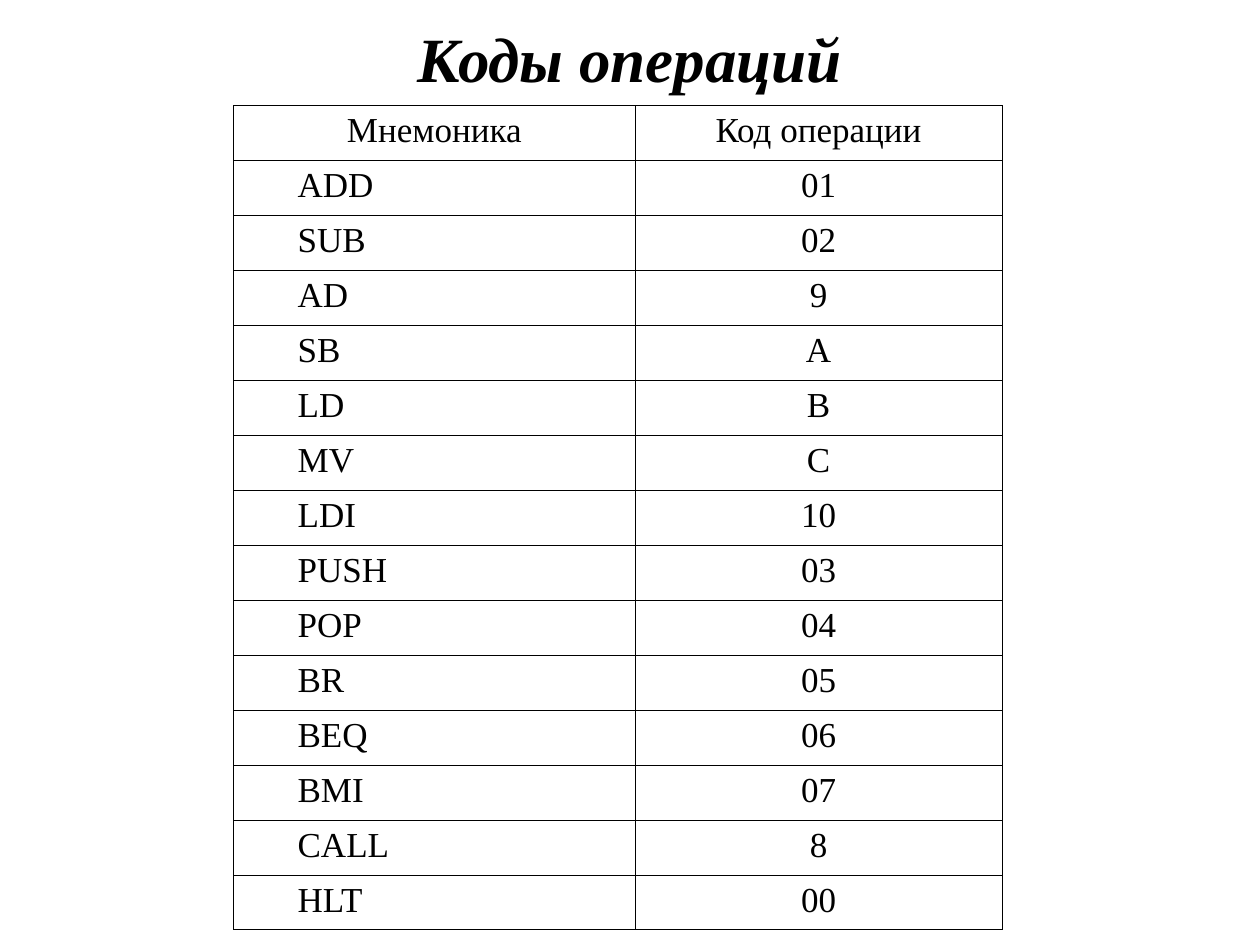
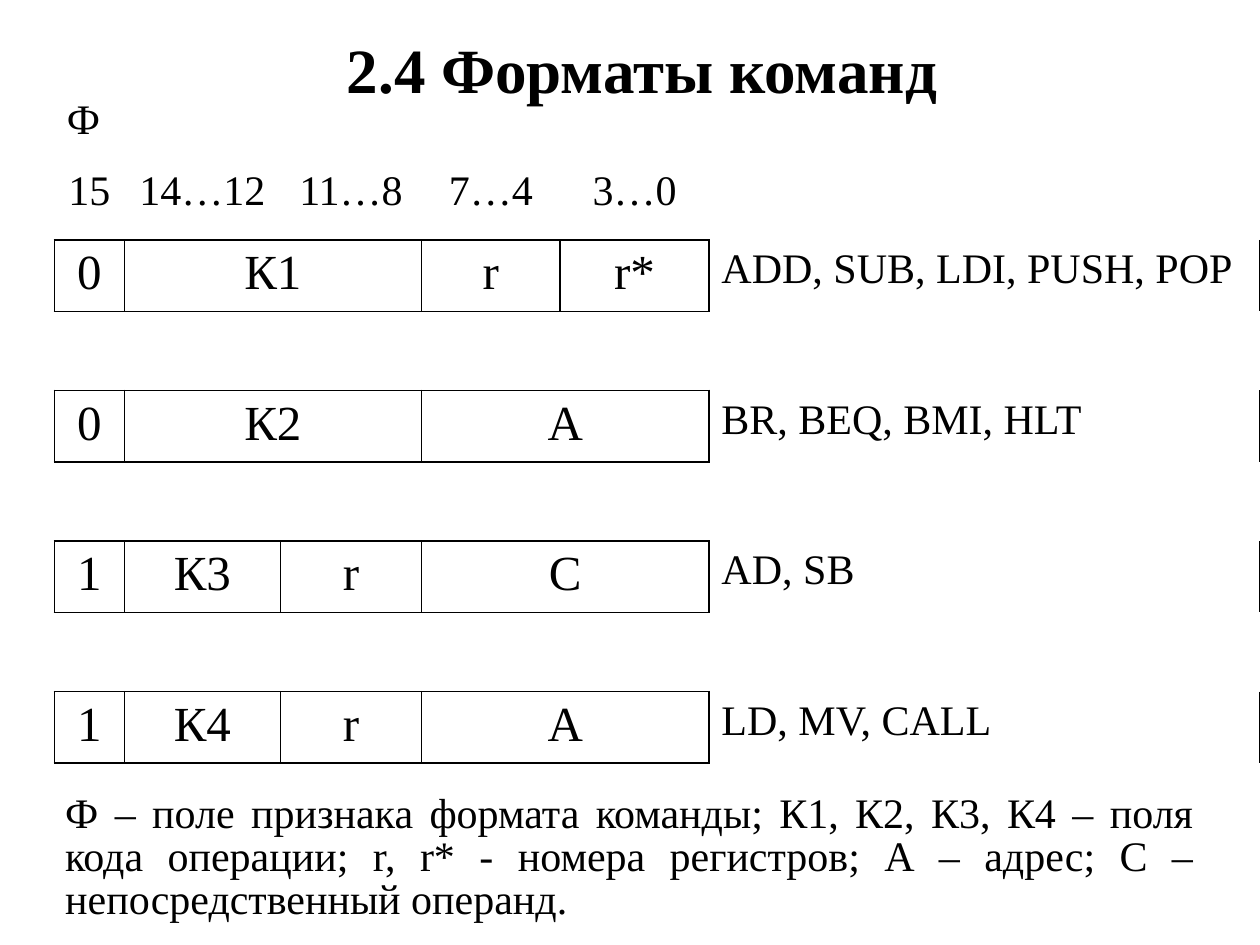
from lxml import etree
from pptx import Presentation
from pptx.dml.color import RGBColor
from pptx.enum.text import MSO_ANCHOR, PP_ALIGN
from pptx.oxml.ns import qn
from pptx.util import Pt

LEFT, CENTER, JUSTIFY = PP_ALIGN.LEFT, PP_ALIGN.CENTER, PP_ALIGN.JUSTIFY
TOP, MIDDLE = MSO_ANCHOR.TOP, MSO_ANCHOR.MIDDLE
FONT = "Times New Roman"
BLACK = "000000"
PLAIN_STYLE = "{2D5ABB26-0587-4C30-8999-92F81FD0307C}"
BLANK = 6

OPCODES = [
    ("ADD", "01"), ("SUB", "02"), ("AD", "9"), ("SB", "A"), ("LD", "B"),
    ("MV", "C"), ("LDI", "10"), ("PUSH", "03"), ("POP", "04"), ("BR", "05"),
    ("BEQ", "06"), ("BMI", "07"), ("CALL", "8"), ("HLT", "00"),
]
# Bit numbers and command fields are (text, columns spanned).
BITS = [("15", 1), ("14…12", 1), ("11…8", 1), ("7…4", 1), ("3…0", 2)]
FORMATS = [
    ([("0", 1), ("К1", 2), ("r", 1), ("r*", 2)], "ADD, SUB, LDI, PUSH, POP"),
    ([("0", 1), ("К2", 2), ("A", 3)], "BR, BEQ, BMI, HLT"),
    ([("1", 1), ("К3", 1), ("r", 1), ("C", 3)], "AD, SB"),
    ([("1", 1), ("К4", 1), ("r", 1), ("A", 3)], "LD, MV, CALL"),
]
LEGEND = ("Ф – поле признака формата команды; К1, К2, К3, К4 – поля кода операции; "
          "r, r* - номера регистров; А – адрес; С – непосредственный операнд.")


def color(value):
    return RGBColor.from_string(value)


def write(tf, text, size, align=LEFT, bold=False, italic=False):
    p = tf.paragraphs[0]
    p.alignment = align
    r = p.add_run()
    r.text = text
    r.font.name, r.font.size = FONT, Pt(size)
    r.font.bold, r.font.italic = bold, italic
    r.font.color.rgb = color(BLACK)
    return p


def add_text(slide, box, text, size, align, anchor=TOP, **style):
    tf = slide.shapes.add_textbox(*map(Pt, box)).text_frame
    tf.word_wrap = True
    tf.vertical_anchor = anchor
    return write(tf, text, size, align, **style)


def add_title(slide, box, text, italic=False):
    add_text(slide, box, text, 36, CENTER, MIDDLE, bold=True, italic=italic)


def add_plain_table(slide, left, top, widths, heights):
    frame = slide.shapes.add_table(len(heights), len(widths), Pt(left), Pt(top),
                                   Pt(sum(widths)), Pt(sum(heights)))
    table = frame.table
    table.first_row = table.horz_banding = False
    table._tbl.tblPr.find(qn("a:tableStyleId")).text = PLAIN_STYLE
    for column, width in zip(table.columns, widths):
        column.width = Pt(width)
    for row, height in zip(table.rows, heights):
        row.height = Pt(height)
    return table


def set_borders(cell, sides, width):
    """Draw the given sides, a string of letters in the order L, R, T, B."""
    tc_pr = cell._tc.get_or_add_tcPr()
    for side in sides:
        ln = etree.SubElement(tc_pr, qn(f"a:ln{side}"), w=str(Pt(width)))
        fill = etree.SubElement(ln, qn("a:solidFill"))
        etree.SubElement(fill, qn("a:srgbClr"), val=BLACK)
    cell.fill.background()


def fill_row(table, row, fields, size, sides, width=1):
    """Write centred fields from the left, merging the columns they span."""
    col = 0
    for text, span in fields:
        first, last = table.cell(row, col), table.cell(row, col + span - 1)
        if span > 1:
            first.merge(last)
        write(first.text_frame, text, size, CENTER)
        set_borders(first, sides, width)
        for i in range(col + 1, col + span):
            set_borders(table.cell(row, i), sides.replace("L", ""), width)
        col += span


def build_opcodes(slide):
    add_title(slide, (54, 18, 612, 29.5), "Коды операций", italic=True)
    table = add_plain_table(slide, 133.4, 60.2, [229.6, 209.6],
                            [31.43] * (len(OPCODES) + 1))
    fill_row(table, 0, [("Мнемоника", 1), ("Код операции", 1)], 20, "LRTB", 0.45)
    for row, (mnemonic, code) in enumerate(OPCODES, 1):
        fill_row(table, row, [(mnemonic, 1), (code, 1)], 20, "LRTB", 0.45)
        name = table.cell(row, 0)
        name.text_frame.paragraphs[0].alignment = LEFT
        name.margin_left = Pt(36.7)


def build_formats(slide):
    widths = [40, 89.3, 80.6, 79.2, 23.8, 61.2, 314.6]
    label_col = len(widths) - 1
    field_height, gap = 40.7, 45.2
    heights = [40.5, 44.8] + [field_height, gap] * (len(FORMATS) - 1) + [field_height]
    table = add_plain_table(slide, 31, 51.8, widths, heights)

    write(table.cell(0, 0).text_frame, "Ф", 24, JUSTIFY)
    fill_row(table, 1, BITS, 24, "B")
    for i, (fields, commands) in enumerate(FORMATS):
        row = 2 + 2 * i
        fill_row(table, row, fields, 28, "LRTB")
        label = table.cell(row, label_col)
        write(label.text_frame, commands, 24)
        set_borders(label, "L", 1)
        if row + 1 < len(heights):
            for col in range(label_col):
                set_borders(table.cell(row + 1, col), "TB", 1)

    add_title(slide, (25.2, 12.2, 683.3, 54), "2.4 Форматы команд")
    p = add_text(slide, (30.2, 450.5, 659, 81), LEGEND, 24, JUSTIFY)
    p.line_spacing = 0.85


def main():
    prs = Presentation()
    prs.slide_width, prs.slide_height = Pt(720), Pt(540)
    for build in (build_opcodes, build_formats):
        build(prs.slides.add_slide(prs.slide_layouts[BLANK]))
    prs.save("out.pptx")


if __name__ == "__main__":
    main()
